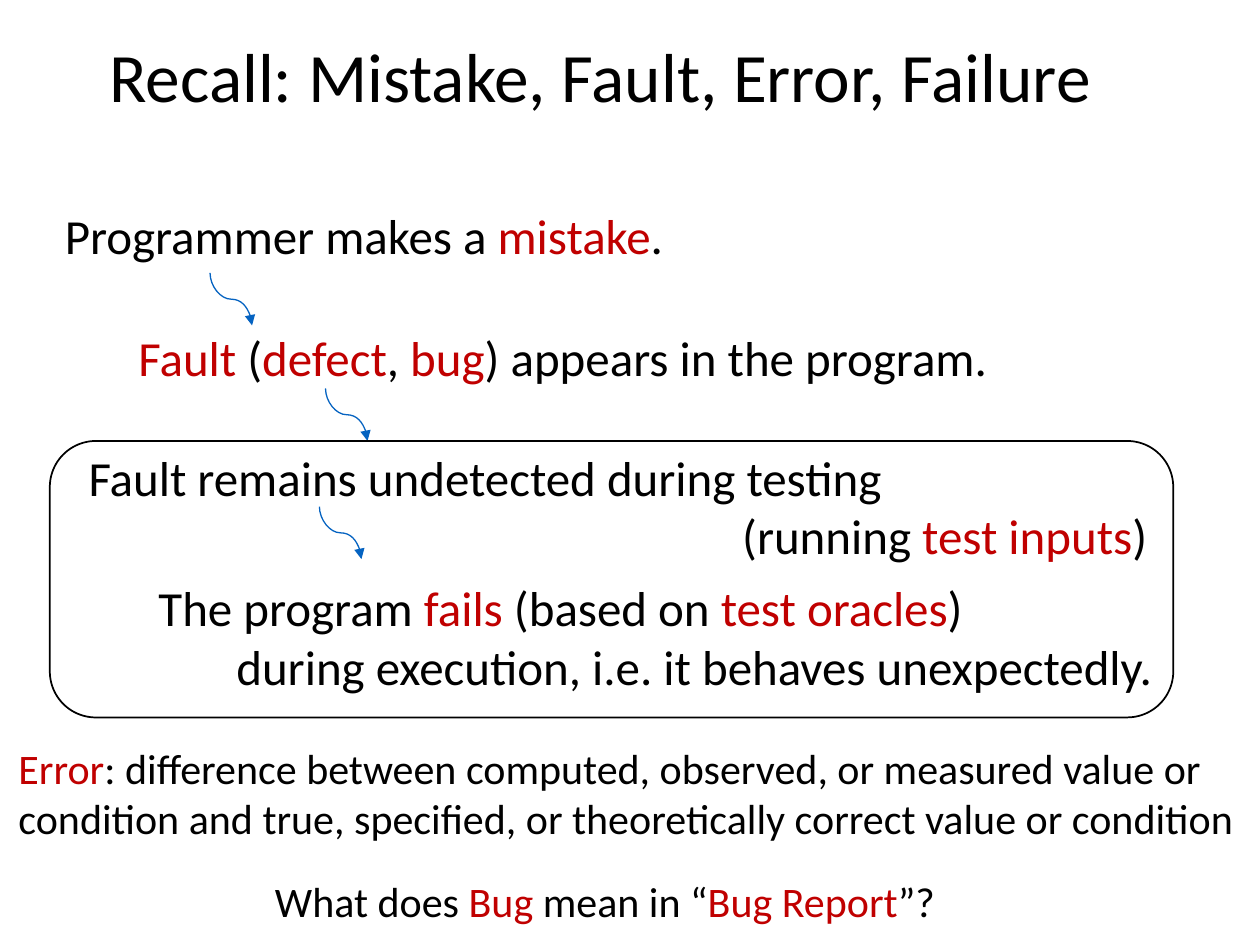
from dataclasses import dataclass

from lxml.etree import SubElement
from pptx import Presentation
from pptx.dml.color import RGBColor
from pptx.enum.shapes import MSO_CONNECTOR, MSO_SHAPE
from pptx.enum.text import MSO_ANCHOR
from pptx.oxml.ns import qn
from pptx.util import Pt

BLACK = RGBColor(0x00, 0x00, 0x00)
RED = RGBColor(0xC0, 0x00, 0x00)
BLUE = RGBColor(0x05, 0x63, 0xC1)
FONT = "Calibri"
ARROW_W, ARROW_H = 24, 30


@dataclass
class Statement:
    """Text lines in a box, in points; words between asterisks are red."""
    left: float
    top: float
    width: float
    height: float
    lines: list[str]
    size: float = 28
    indent: float = 0  # of the second line


@dataclass
class Arrow:
    left: float
    top: float


TITLE = Statement(55.5, 13, 600, 65, ["Recall: Mistake, Fault, Error, Failure"], 39.6)

STATEMENTS = [
    Statement(30, 114, 360, 41, ["Programmer makes a *mistake*."]),
    Statement(72, 183.5, 505, 41,
              ["*Fault *(*defect*, *bug*) appears in the program."]),
    Statement(43.5, 252, 636, 75,
              ["Fault remains undetected during testing",
               "(running *test inputs*)"], indent=373.5),
    Statement(83.5, 326.5, 590, 75,
              ["The program *fails *(based on *test oracles*)",
               "during execution, i.e. it behaves unexpectedly."], indent=44.5),
    Statement(3.5, 420.5, 711.5, 65.5,
              ["*Error*: difference between computed, observed, or measured value or "
               "condition and true, specified, or theoretically correct value or "
               "condition"], 24),
    Statement(150, 497, 395, 36,
              ["What does *Bug *mean in “*Bug Report*”?"], 24),
]

ARROWS = [Arrow(120, 156), Arrow(186, 222), Arrow(182.5, 289.5)]


def add_text(slide, st: Statement, *, anchor=MSO_ANCHOR.TOP, spacing: float = 1.0) -> None:
    sp = slide.shapes.add_textbox(Pt(st.left), Pt(st.top), Pt(st.width), Pt(st.height))
    tf = sp.text_frame
    tf.word_wrap = True
    tf.vertical_anchor = anchor
    for i, line in enumerate(st.lines):
        p = tf.add_paragraph() if i else tf.paragraphs[0]
        p.line_spacing = spacing
        if i and st.indent:
            p._p.get_or_add_pPr().set("marL", str(Pt(st.indent)))
        for j, part in enumerate(line.split("*")):
            if not part:
                continue
            r = p.add_run()
            r.text = part
            r.font.name = FONT
            r.font.size = Pt(st.size)
            r.font.color.rgb = RED if j % 2 else BLACK


def add_arrow(slide, arrow: Arrow) -> None:
    """Draw an S-curve that leaves and arrives vertically.

    The connector is laid out on its side, then turned by 270 degrees.
    """
    cx, cy = arrow.left + ARROW_W / 2, arrow.top + ARROW_H / 2
    cxn = slide.shapes.add_connector(
        MSO_CONNECTOR.CURVE,
        Pt(cx + ARROW_H / 2), Pt(cy - ARROW_W / 2),
        Pt(cx - ARROW_H / 2), Pt(cy + ARROW_W / 2))
    cxn.line.color.rgb = BLUE
    cxn.line.width = Pt(0.75)
    spPr = cxn._element.spPr
    spPr.find(qn("a:xfrm")).set("rot", str(270 * 60000))
    SubElement(spPr.find(qn("a:ln")), qn("a:tailEnd"), type="triangle")
    SubElement(spPr, qn("a:effectLst"))


def add_frame(slide) -> None:
    sp = slide.shapes.add_shape(MSO_SHAPE.ROUNDED_RECTANGLE,
                                Pt(28.5), Pt(252), Pt(642), Pt(158))
    sp.shadow.inherit = False
    sp.fill.background()
    sp.line.color.rgb = BLACK
    sp.line.width = Pt(1)


def main() -> None:
    prs = Presentation()
    prs.slide_width, prs.slide_height = Pt(720), Pt(540)
    s = prs.slides.add_slide(prs.slide_layouts[6])
    add_text(s, TITLE, anchor=MSO_ANCHOR.MIDDLE, spacing=0.9)
    for st in STATEMENTS:
        add_text(s, st)
    for arrow in ARROWS:
        add_arrow(s, arrow)
    add_frame(s)
    prs.save("out.pptx")


if __name__ == "__main__":
    main()
